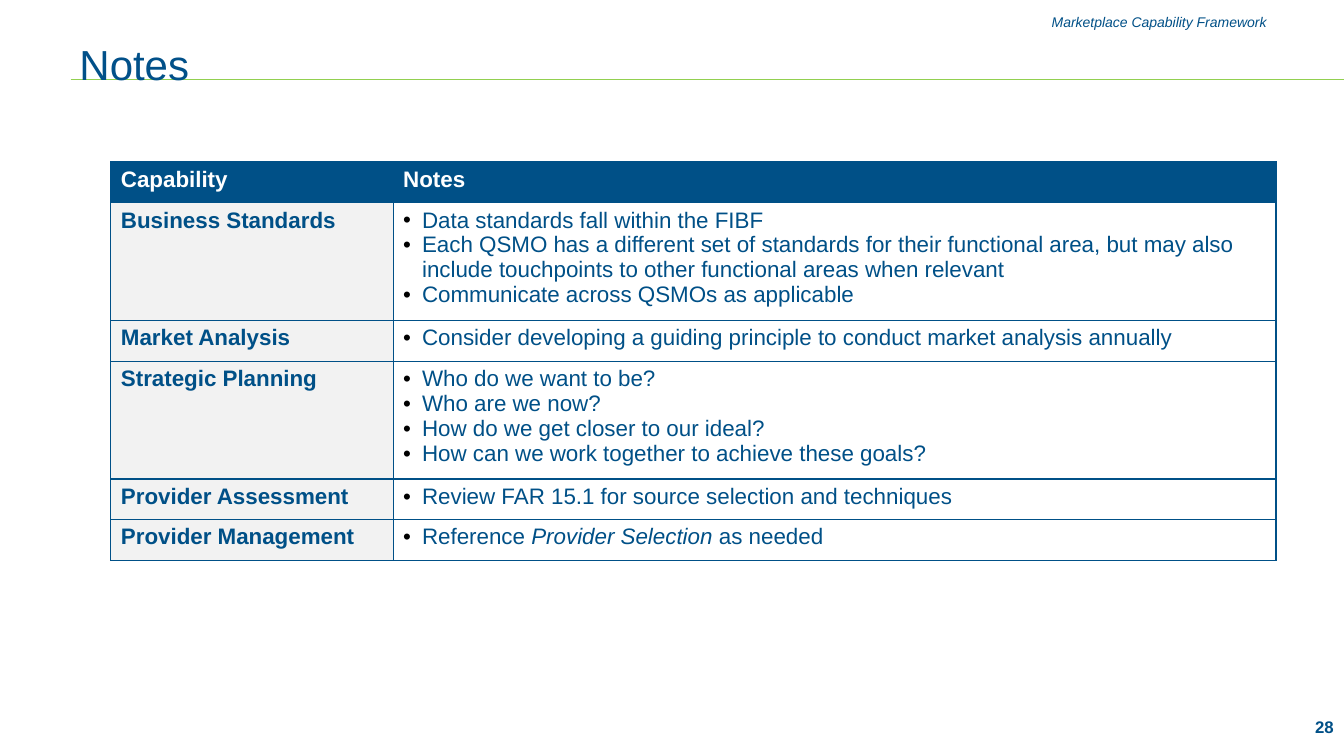
import pptx
import pptx.dml.color
import pptx.enum.shapes
import pptx.enum.text
import pptx.oxml
import pptx.oxml.ns
import pptx.util
from dataclasses import dataclass

Pt = pptx.util.Pt
Color = pptx.dml.color.RGBColor.from_string
Align = pptx.enum.text.PP_ALIGN
Anchor = pptx.enum.text.MSO_ANCHOR
NAMESPACE = pptx.oxml.ns.nsdecls("a")


@dataclass(frozen=True)
class Theme:
    font: str = "Arial"
    navy: str = "005087"
    title_blue: str = "015089"
    green: str = "92D050"
    white: str = "FFFFFF"
    grey: str = "F2F2F2"
    bullet: str = "000000"
    title_size: float = 30
    table_size: float = 16
    number_size: float = 12
    header_size: float = 10


theme = Theme()


def write(frame, text, size=theme.table_size, color=theme.navy, bold=False,
          italic=False, align=Align.LEFT, anchor=Anchor.TOP, bullets=False):
    frame.word_wrap = True
    frame.vertical_anchor = anchor
    for index, line in enumerate(text.split("\n")):
        paragraph = frame.add_paragraph() if index else frame.paragraphs[0]
        paragraph.alignment = align
        if bullets:
            properties = paragraph._p.get_or_add_pPr()
            properties.set("marL", str(Pt(13.5)))
            properties.set("indent", str(-Pt(13.5)))
            for xml in (
                f'<a:buClr {NAMESPACE}><a:srgbClr val="{theme.bullet}"/></a:buClr>',
                f'<a:buFont {NAMESPACE} typeface="{theme.font}"/>',
                f'<a:buChar {NAMESPACE} char="•"/>',
            ):
                properties.append(pptx.oxml.parse_xml(xml))
        for position, piece in enumerate(line.split("*")):
            run = paragraph.add_run()
            run.text = piece
            run.font.name = theme.font
            run.font.size = Pt(size)
            run.font.bold = bold
            run.font.italic = italic or position % 2 == 1
            run.font.color.rgb = Color(color)


deck = pptx.Presentation()
deck.slide_width, deck.slide_height = Pt(960), Pt(540)
slide = deck.slides.add_slide(deck.slide_layouts[6])
shapes = slide.shapes

title_rule = shapes.add_connector(
    pptx.enum.shapes.MSO_CONNECTOR.STRAIGHT, Pt(50.4), Pt(57), Pt(960), Pt(57))
title_rule.line.color.rgb = Color(theme.green)
title_rule.line.width = Pt(0.75)
title_rule._element.spPr.append(pptx.oxml.parse_xml(f"<a:effectLst {NAMESPACE}/>"))

running_header = shapes.add_textbox(Pt(635.8), Pt(5.8), Pt(275.8), Pt(20.2))
write(running_header.text_frame, "Marketplace Capability Framework",
      size=theme.header_size, italic=True, align=Align.RIGHT, anchor=Anchor.MIDDLE)

title = shapes.add_textbox(Pt(49.7), Pt(11.5), Pt(861), Pt(67.7))
write(title.text_frame, "Notes", size=theme.title_size,
      color=theme.title_blue, anchor=Anchor.MIDDLE)

capability_notes = [
    ("Capability", "Notes"),
    ("Business Standards",
     "Data standards fall within the FIBF\n"
     "Each QSMO has a different set of standards for their functional area, "
     "but may also include touchpoints to other functional areas when relevant\n"
     "Communicate across QSMOs as applicable"),
    ("Market Analysis",
     "Consider developing a guiding principle to conduct market analysis annually"),
    ("Strategic Planning",
     "Who do we want to be?\nWho are we now?\nHow do we get closer to our ideal?\n"
     "How can we work together to achieve these goals?"),
    ("Provider Assessment", "Review FAR 15.1 for source selection and techniques"),
    ("Provider Management", "Reference *Provider Selection *as needed"),
]
row_height = 29.2
notes_table = shapes.add_table(
    len(capability_notes), 2, Pt(79.2), Pt(115.7), Pt(832.3),
    Pt(row_height * len(capability_notes))).table
for column, width in zip(notes_table.columns, (201.6, 630.7)):
    column.width = Pt(width)

for row_index, entries in enumerate(capability_notes):
    notes_table.rows[row_index].height = Pt(row_height)
    heading = row_index == 0
    for column_index, entry in enumerate(entries):
        cell = notes_table.cell(row_index, column_index)
        label = column_index == 0
        write(cell.text_frame, entry, bold=heading or label,
              color=theme.white if heading else theme.navy,
              bullets=not (heading or label))
        borders = cell._tc.get_or_add_tcPr()
        for side in ("lnL", "lnR", "lnT", "lnB"):
            borders.append(pptx.oxml.parse_xml(
                f'<a:{side} {NAMESPACE} w="{Pt(1)}"><a:solidFill>'
                f'<a:srgbClr val="{theme.navy}"/></a:solidFill></a:{side}>'))
        if heading or label:
            cell.fill.solid()
            cell.fill.fore_color.rgb = Color(theme.navy if heading else theme.grey)
        else:
            cell.fill.background()

page_number = shapes.add_textbox(Pt(902.2), Pt(492.5), Pt(57.6), Pt(41))
page_number.text_frame.margin_top = page_number.text_frame.margin_bottom = Pt(7.2)
write(page_number.text_frame, "28", size=theme.number_size, bold=True,
      align=Align.RIGHT, anchor=Anchor.BOTTOM)

deck.save("out.pptx")
